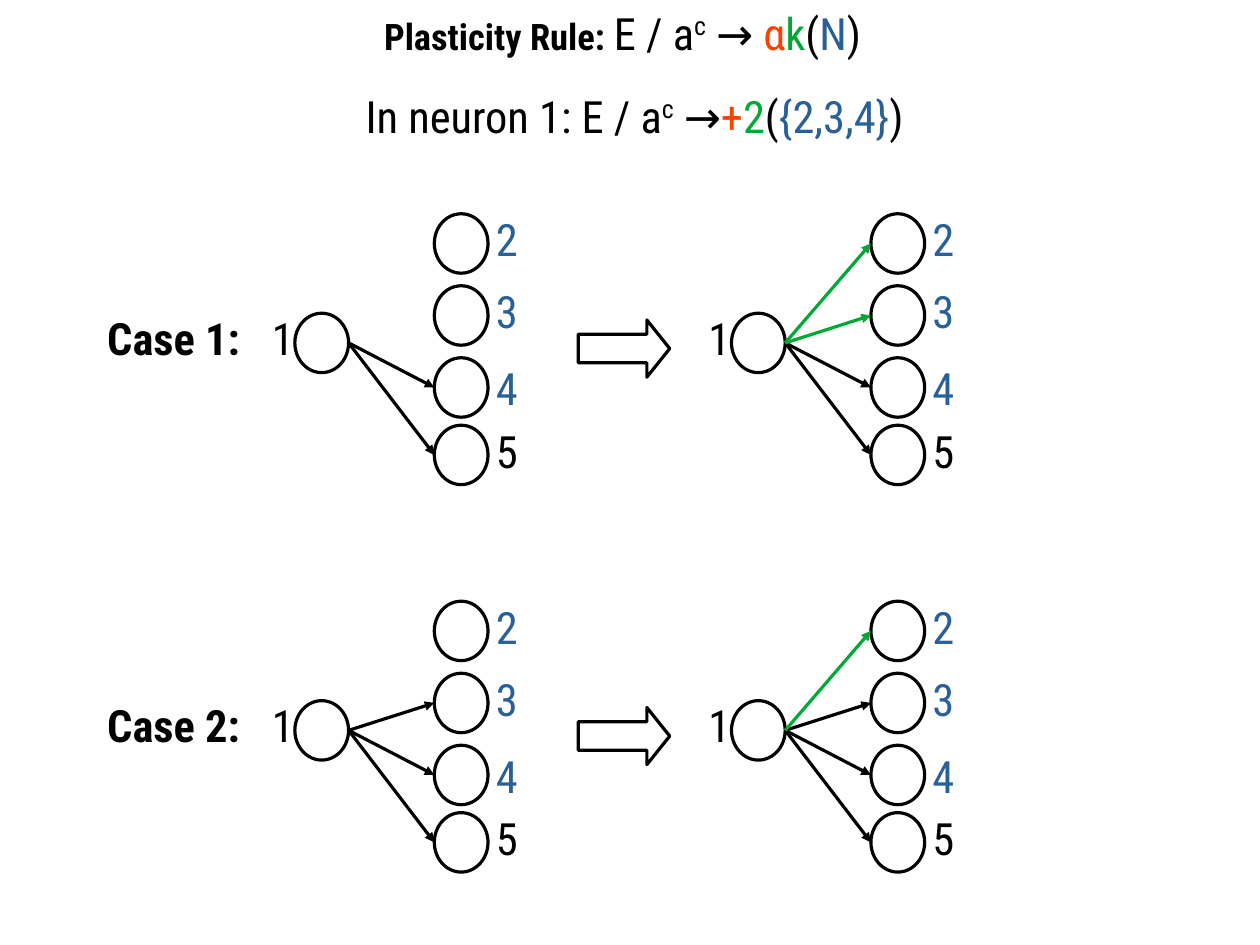
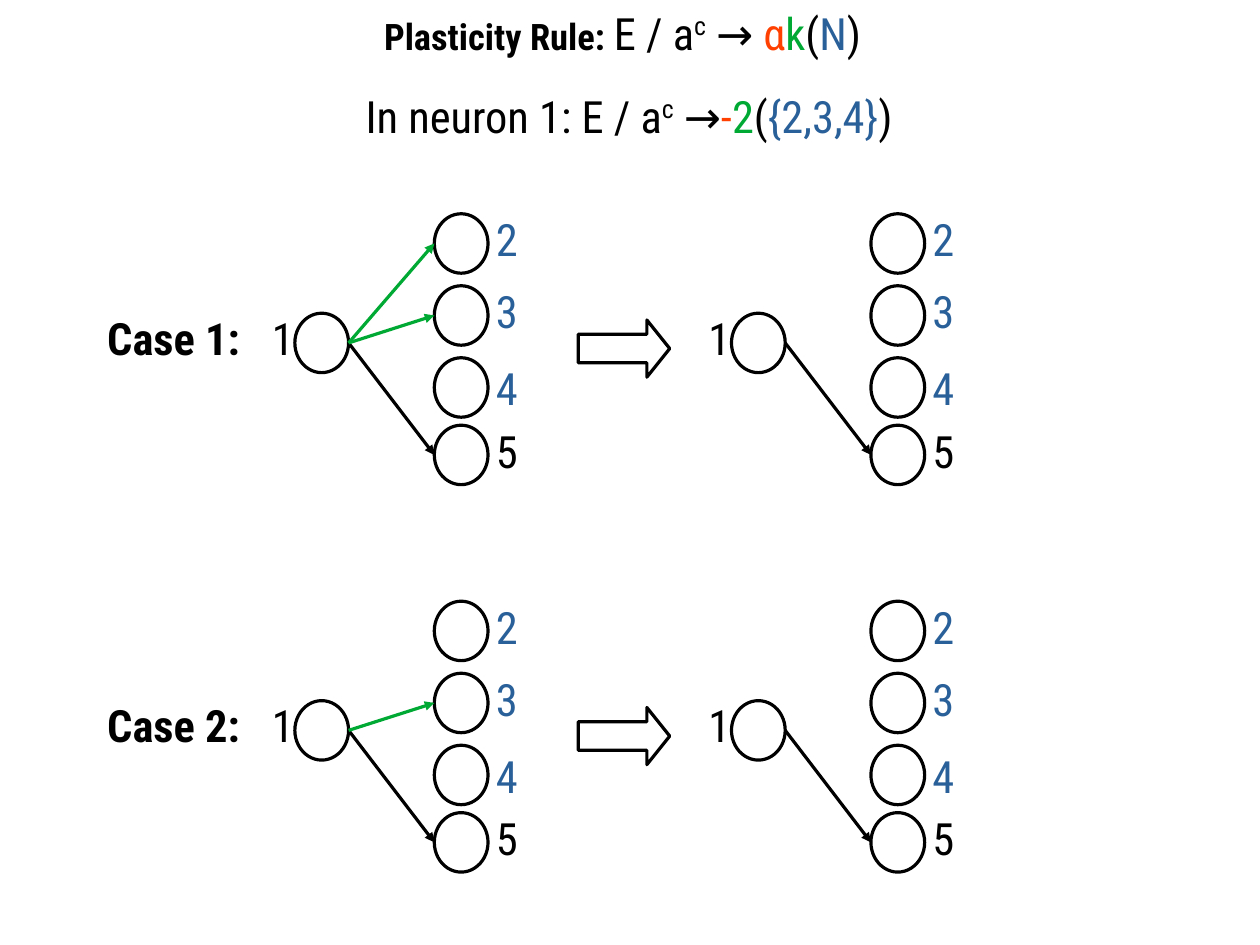
from lxml import etree
from pptx import Presentation
from pptx.dml.color import RGBColor
from pptx.enum.shapes import MSO_CONNECTOR, MSO_SHAPE
from pptx.enum.text import MSO_ANCHOR, MSO_AUTO_SIZE, PP_ALIGN
from pptx.oxml.ns import qn
from pptx.util import Cm, Inches, Pt

OVAL, ARROW = MSO_SHAPE.OVAL, MSO_SHAPE.RIGHT_ARROW
STRAIGHT = MSO_CONNECTOR.STRAIGHT
LEFT, TOP = PP_ALIGN.LEFT, MSO_ANCHOR.TOP
GROW = MSO_AUTO_SIZE.SHAPE_TO_FIT_TEXT

FONT = "Roboto Condensed"
BLACK, ORANGE, GREEN, BLUE = "000000", "FF4000", "00A933", "2A6099"

NODE_W, NODE_H = 0.47, 0.52
TEXT_H = 0.61
CASE_STEP, SIDE_STEP = 3.39, 3.82
SOURCE_X, SOURCE_Y, TARGET_X = 2.58, 2.74, 3.8
# Neuron: (circle top, label top, label colour)
TARGETS = {
    2: (1.87, 1.81, BLUE),
    3: (2.5, 2.44, BLUE),
    4: (3.13, 3.11, BLUE),
    5: (3.72, 3.66, BLACK),
}

# Per slide: the sign, then for each case the synapses before and after
SLIDES = [
    ("+", [
        ({5: BLACK, 4: BLACK}, {5: BLACK, 4: BLACK, 3: GREEN, 2: GREEN}),
        ({5: BLACK, 4: BLACK, 3: BLACK},
         {5: BLACK, 4: BLACK, 3: BLACK, 2: GREEN}),
    ]),
    ("-", [
        ({5: BLACK, 3: GREEN, 2: GREEN}, {5: BLACK}),
        ({5: BLACK, 3: GREEN}, {5: BLACK}),
    ]),
]


def add_text(tf, text, size=28, color=BLACK, bold=False, superscript=False):
    """Append a formatted run to the first paragraph of a text frame."""
    tf.word_wrap = True
    tf.auto_size = GROW
    tf.vertical_anchor = TOP
    p = tf.paragraphs[0]
    p.alignment = LEFT
    r = p.add_run()
    r.text = text
    r.font.name = FONT
    r.font.size = Pt(size)
    r.font.bold = bold
    r.font.color.rgb = RGBColor.from_string(color)
    if superscript:
        r.font._element.set("baseline", "33000")


def add_outline(s, kind, x, y, w, h):
    """Add an unfilled shape with a black outline."""
    sp = s.shapes.add_shape(kind, Inches(x), Inches(y), Inches(w), Inches(h))
    sp.shadow.inherit = False
    sp.fill.background()
    sp.line.color.rgb = RGBColor.from_string(BLACK)
    sp.line.width = Pt(2)
    return sp


prs = Presentation()
prs.slide_width, prs.slide_height = Cm(28), Cm(21)

for sign, cases in SLIDES:
    s = prs.slides.add_slide(prs.slide_layouts[5])

    title = s.shapes.title
    title.left, title.top = Inches(3.26), Inches(0)
    title.width, title.height = Inches(4.45), Inches(TEXT_H)
    rule = s.shapes.add_textbox(Inches(3.1), Inches(0.73), Inches(5), Inches(TEXT_H))

    add_text(title.text_frame, "Plasticity Rule: ", size=23, bold=True)
    add_text(rule.text_frame, "In neuron 1: ")
    for tf, arrow, alpha, k, neurons in [
        (title.text_frame, " → ", "α", "k", "N"),
        (rule.text_frame, " →", sign, "2", "{2,3,4}"),
    ]:
        add_text(tf, "E / a")
        add_text(tf, "c", superscript=True)
        add_text(tf, arrow)
        add_text(tf, alpha, color=ORANGE)
        add_text(tf, k, color=GREEN)
        add_text(tf, "(")
        add_text(tf, neurons, color=BLUE)
        add_text(tf, ")")

    for i, sides in enumerate(cases):
        dy = i * CASE_STEP
        labels = [(f"Case {i + 1}:", 0.84, 2.67, 1.4, BLACK, True)]
        big_arrow = add_outline(s, ARROW, 5.06, 2.8 + dy, 0.8, 0.5)
        big_arrow.adjustments[1] = 0.4

        for j, synapses in enumerate(sides):
            dx = j * SIDE_STEP
            add_outline(s, OVAL, SOURCE_X + dx, SOURCE_Y + dy, NODE_W, NODE_H)
            labels.append(("1", 2.28 + dx, 2.67, 0.38, BLACK, False))
            for n, (node_y, label_y, color) in TARGETS.items():
                add_outline(s, OVAL, TARGET_X + dx, node_y + dy, NODE_W, NODE_H)
                labels.append((str(n), 4.24 + dx, label_y, 0.38, color, False))

            for n, color in synapses.items():
                c = s.shapes.add_connector(
                    STRAIGHT,
                    Inches(SOURCE_X + NODE_W + dx),
                    Inches(SOURCE_Y + NODE_H / 2 + dy),
                    Inches(TARGET_X + dx),
                    Inches(TARGETS[n][0] + NODE_H / 2 + dy))
                c.line.color.rgb = RGBColor.from_string(color)
                c.line.width = Pt(2)
                sp_pr = c._element.spPr
                etree.SubElement(sp_pr.find(qn("a:ln")), qn("a:tailEnd"), type="triangle")
                etree.SubElement(sp_pr, qn("a:effectLst"))

        for text, x, y, w, color, bold in labels:
            tb = s.shapes.add_textbox(Inches(x), Inches(y + dy), Inches(w), Inches(TEXT_H))
            add_text(tb.text_frame, text, color=color, bold=bold)

prs.save("out.pptx")
